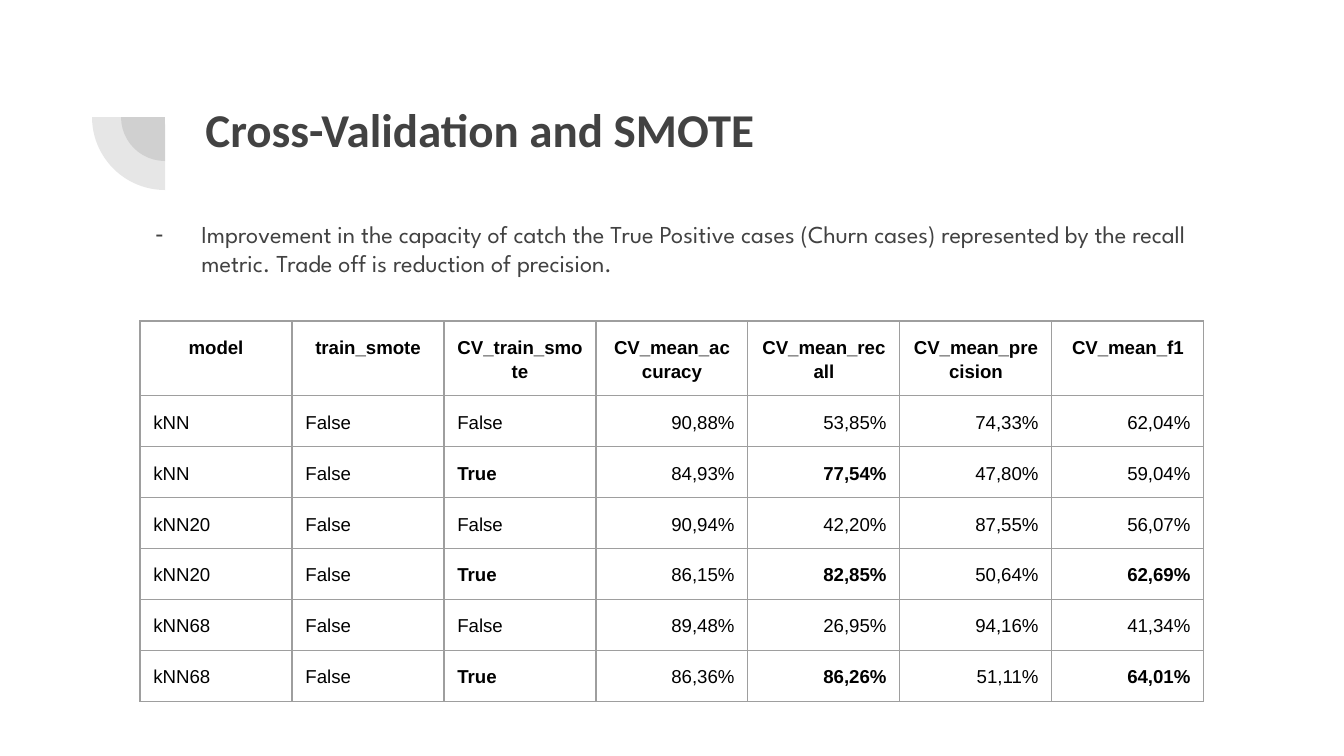
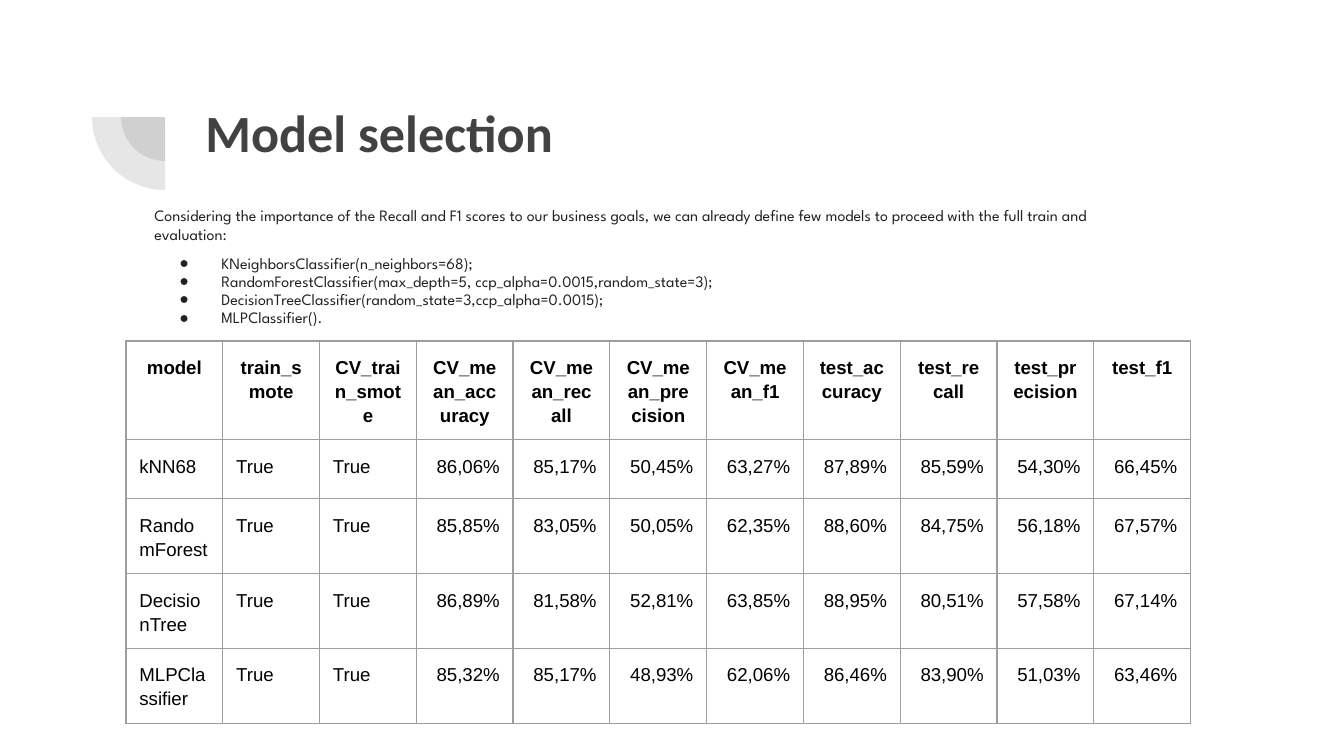
from lxml import etree
from pptx import Presentation
from pptx.dml.color import RGBColor
from pptx.enum.shapes import MSO_SHAPE
from pptx.enum.text import MSO_ANCHOR, MSO_AUTO_SIZE, PP_ALIGN
from pptx.oxml.ns import qn
from pptx.util import Emu, Inches, Pt

PIE = MSO_SHAPE.PIE
TOP = MSO_ANCHOR.TOP
NO_FIT = MSO_AUTO_SIZE.NONE
LEFT, CENTER, RIGHT = PP_ALIGN.LEFT, PP_ALIGN.CENTER, PP_ALIGN.RIGHT

EMU_PER_PX = 914400 / 134.4
SLIDE_SIZE = (1344, 756)
INSET = Inches(0.1)
COLORS = {
    "background": "FFFFFF",
    "heading": "424242",
    "list": "212121",
    "cell": "000000",
    "border": "9E9E9E",
}
TITLE_FONT, BODY_FONT, TABLE_FONT = "Calibri", "League Spartan", "Arial"
TITLE_BOX = (192, 87, 1034, 146)
ARC_CENTER = (165, 117)
ARC_RADII = (44, 73)
LABEL_COLUMNS = 3

CV_HEADER = ("model train_smote CV_train_smote CV_mean_accuracy "
             "CV_mean_recall CV_mean_precision CV_mean_f1")
SMOTE_SCORES = [
    CV_HEADER,
    "kNN False False 90,88% 53,85% 74,33% 62,04%",
    "kNN False *True 84,93% *77,54% 47,80% 59,04%",
    "kNN20 False False 90,94% 42,20% 87,55% 56,07%",
    "kNN20 False *True 86,15% *82,85% 50,64% *62,69%",
    "kNN68 False False 89,48% 26,95% 94,16% 41,34%",
    "kNN68 False *True 86,36% *86,26% 51,11% *64,01%",
]
MODEL_SCORES = [
    CV_HEADER + " test_accuracy test_recall test_precision test_f1",
    "kNN68 True True 86,06% 85,17% 50,45% 63,27% 87,89% 85,59% 54,30% 66,45%",
    "RandomForest True True 85,85% 83,05% 50,05% 62,35% 88,60% 84,75% 56,18% 67,57%",
    "DecisionTree True True 86,89% 81,58% 52,81% 63,85% 88,95% 80,51% 57,58% 67,14%",
    "MLPClassifier True True 85,32% 85,17% 48,93% 62,06% 86,46% 83,90% 51,03% 63,46%",
]
TRADE_OFF = ("Improvement in the capacity of catch the True Positive cases (Churn cases) "
             "represented by the recall metric. Trade off is reduction of precision.")
SELECTION_REASON = ("Considering the importance of the Recall and F1 scores to our business goals, "
                    "we can already define few models to proceed with the full train and evaluation:")
SELECTED_MODELS = [
    "KNeighborsClassifier(n_neighbors=68);",
    "RandomForestClassifier(max_depth=5, ccp_alpha=0.0015,random_state=3);",
    "DecisionTreeClassifier(random_state=3,ccp_alpha=0.0015);",
    "MLPClassifier().",
]


def px(length):
    return Emu(round(length * EMU_PER_PX))


def rgb(name):
    return RGBColor.from_string(COLORS[name])


def add_color(parent, name):
    return etree.SubElement(parent, qn("a:srgbClr"), val=COLORS[name])


def write(paragraph, text, *, size, font, color, bold=False, align=LEFT, spacing=1.0, before=0):
    paragraph.alignment = align
    paragraph.line_spacing = spacing
    paragraph.space_before = Pt(before)
    run = paragraph.add_run()
    run.text = text
    run.font.size = Pt(size)
    run.font.name = font
    run.font.bold = bold
    run.font.color.rgb = rgb(color)


def set_bullet(paragraph, char=None, color=None, margin=0, hanging=0):
    properties = paragraph._p.get_or_add_pPr()
    properties.set("marL", str(px(margin)))
    properties.set("indent", str(px(-hanging)))
    if char is None:
        etree.SubElement(properties, qn("a:buNone"))
        return
    add_color(etree.SubElement(properties, qn("a:buClr")), color)
    etree.SubElement(properties, qn("a:buChar"), char=char)


def place(placeholder, box):
    placeholder.left, placeholder.top, placeholder.width, placeholder.height = map(px, box)
    frame = placeholder.text_frame
    frame.word_wrap = True
    frame.auto_size = NO_FIT
    frame.vertical_anchor = TOP
    frame.margin_left = frame.margin_right = INSET
    frame.margin_top = frame.margin_bottom = INSET
    return frame


def add_arcs(slide):
    for radius in ARC_RADII:
        corner = [px(center - radius) for center in ARC_CENTER]
        arc = slide.shapes.add_shape(PIE, *corner, px(2 * radius), px(2 * radius))
        arc.rotation = 270
        arc.adjustments[0] = 107.93
        arc.adjustments[1] = 162
        arc.shadow.inherit = False
        arc.line.fill.background()
        arc.fill.solid()
        arc.fill.fore_color.rgb = rgb("heading")
        tint = arc._element.spPr.find(qn("a:solidFill")).find(qn("a:srgbClr"))
        etree.SubElement(tint, qn("a:alpha"), val="13000")
        slide.shapes._spTree.insert(2, arc._element)


def add_titled_slide(deck, title, title_size, body_box):
    slide = deck.slides.add_slide(deck.slide_layouts[1])
    slide.background.fill.solid()
    slide.background.fill.fore_color.rgb = rgb("background")
    add_arcs(slide)
    heading = place(slide.shapes.title, TITLE_BOX)
    write(heading.paragraphs[0], title, size=title_size, font=TITLE_FONT,
          color="heading", bold=True)
    return slide, place(slide.placeholders[1], body_box)


def set_borders(cell):
    properties = cell._tc.get_or_add_tcPr()
    for order, side in enumerate(("lnL", "lnR", "lnT", "lnB")):
        border = etree.Element(qn(f"a:{side}"), w=str(Pt(0.75)))
        add_color(etree.SubElement(border, qn("a:solidFill")), "border")
        properties.insert(order, border)


def add_scores(slide, lines, left, top, width, row_heights):
    rows = [line.split() for line in lines]
    count = len(rows[0])
    scores = slide.shapes.add_table(len(rows), count, px(left), px(top),
                                    px(width), px(sum(row_heights))).table
    scores.first_row = scores.horz_banding = False
    for column in scores.columns:
        column.width = px(width / count)
    for r, (values, height) in enumerate(zip(rows, row_heights)):
        scores.rows[r].height = px(height)
        for c, value in enumerate(values):
            cell = scores.cell(r, c)
            cell.margin_left = cell.margin_right = INSET
            cell.margin_top = cell.margin_bottom = INSET
            cell.fill.background()
            set_borders(cell)
            align = CENTER if r == 0 else LEFT if c < LABEL_COLUMNS else RIGHT
            write(cell.text_frame.paragraphs[0], value.lstrip("*"), size=10, font=TABLE_FONT,
                  color="cell", bold=r == 0 or value.startswith("*"),
                  align=align, spacing=1.15)


def add_smote_slide(deck):
    slide, body = add_titled_slide(deck, "Cross-Validation and SMOTE", 25.2,
                                   (121, 206, 1102, 79))
    finding = body.paragraphs[0]
    write(finding, TRADE_OFF, size=13, font=BODY_FONT, color="heading")
    set_bullet(finding, "-", "heading", margin=67, hanging=46)
    add_scores(slide, SMOTE_SCORES, 140, 321, 1064, [56] + [42] * 6)


def add_selection_slide(deck):
    slide, body = add_titled_slide(deck, "Model selection", 28, (141, 194, 1034, 146))
    style = {"size": 8.5, "font": BODY_FONT, "color": "list", "spacing": 0.95}
    reason = body.paragraphs[0]
    write(reason, SELECTION_REASON, before=6, **style)
    set_bullet(reason)
    for order, model in enumerate(SELECTED_MODELS):
        item = body.add_paragraph()
        write(item, model, before=0 if order else 6, **style)
        set_bullet(item, "●", "list", margin=67, hanging=42)
    add_scores(slide, MODEL_SCORES, 126, 341, 1065, [95, 59, 74, 71, 71])


def main():
    deck = Presentation()
    deck.slide_width, deck.slide_height = map(px, SLIDE_SIZE)
    add_smote_slide(deck)
    add_selection_slide(deck)
    deck.save("out.pptx")


if __name__ == "__main__":
    main()
